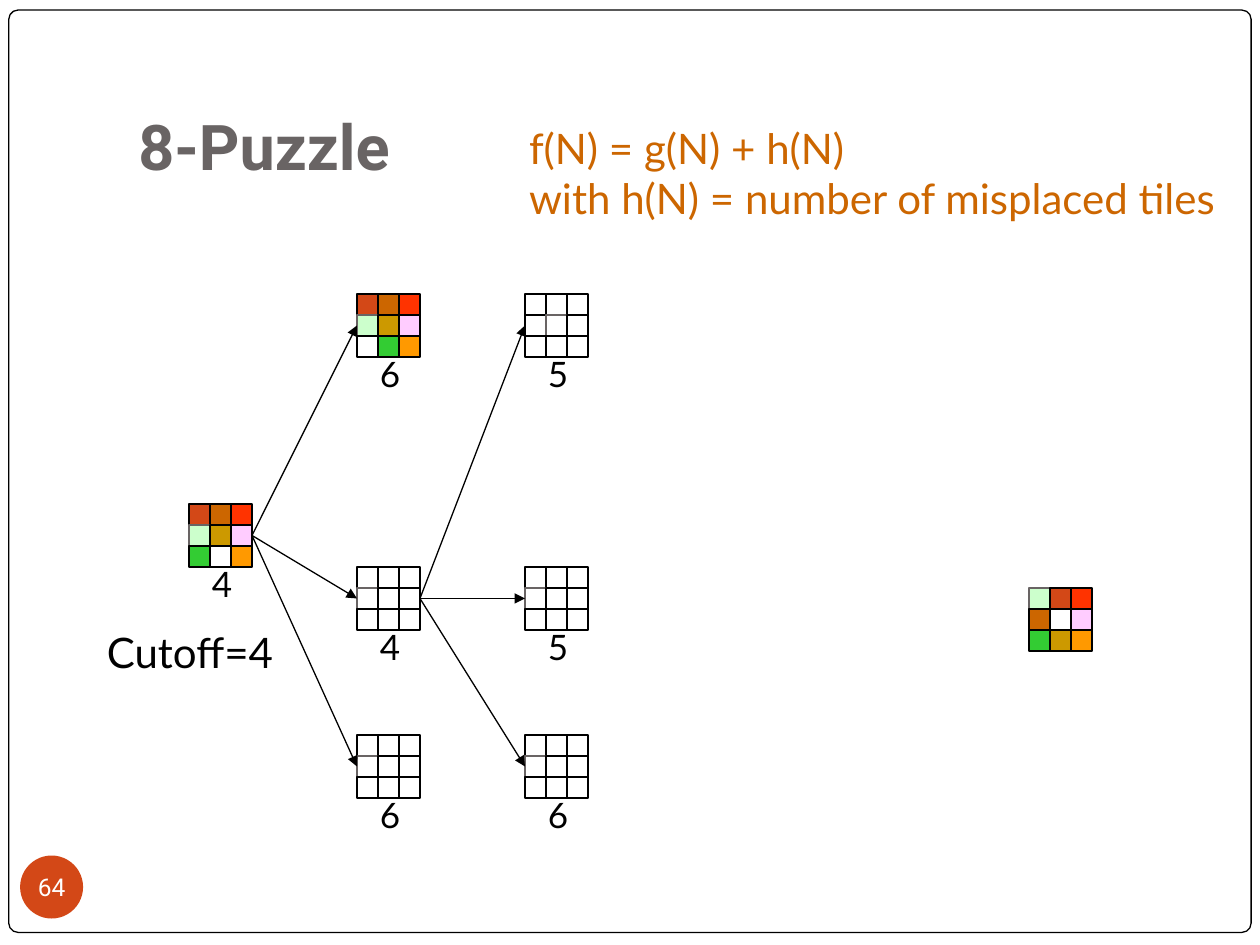
"""Build the 8-puzzle search slide with its boards, costs and arrows."""
from dataclasses import dataclass

from lxml.etree import SubElement
from pptx import Presentation
from pptx.dml.color import RGBColor as Rgb
from pptx.enum.shapes import MSO_CONNECTOR as Link, MSO_SHAPE as Kind
from pptx.enum.text import MSO_ANCHOR as Anchor, PP_ALIGN as Align
from pptx.oxml.ns import qn
from pptx.util import Inches, Pt


@dataclass(frozen=True)
class Theme:
    ink: str = "000000"
    grey: str = "696464"
    paper: str = "FFFFFF"
    accent: str = "D34817"
    note: str = "CC6600"
    head: str = "Roboto"
    body: str = "Lato"
    title: int = 36
    large: int = 24
    cost: int = 20
    page: int = 14
    line: float = 0.75


T = Theme()
TITLE = "8-Puzzle"
RULE = "f(N) = g(N) + h(N)\nwith h(N) = number of misplaced tiles"
CUTOFF = "Cutoff=4"
PAGE = "64"

TILES = {
    "1": "D34817", "2": "CC6600", "3": "FF3300", "4": "CCFFCC", "5": "CC9900",
    "6": "FFCCFF", "7": "33CC33", "8": "FF9900", ".": T.paper, "o": T.paper,
}
PALE = "4o"
BLANK = "...o....."

BOARDS = {
    "root": (9, 24, "1234567.8", "4"),
    "up": (17, 14, "123456.78", "6"),
    "mid": (17, 27, BLANK, "4"),
    "down": (17, 35, BLANK, "6"),
    "mid up": (25, 14, "....o....", "5"),
    "mid mid": (25, 27, BLANK, "5"),
    "mid down": (25, 35, BLANK, "6"),
    "goal": (49, 28, "4132.6758", ""),
}
MOVES = {"root": ("up", "mid", "down"), "mid": ("mid up", "mid mid", "mid down")}

WIDE, HIGH = 10, 7.5
CELL = 1 / 6


def color(code):
    return Rgb.from_string(code)


def write(shape, text, size, ink, font=T.body, bold=False, align=Align.LEFT):
    frame = shape.text_frame
    frame.word_wrap = True
    frame.text = text
    for para in frame.paragraphs:
        para.alignment = align
        for run in para.runs:
            face = run.font
            face.name, face.size, face.bold = font, Pt(size), bold
            face.color.rgb = color(ink)
    return frame


def text_box(shapes, box, *style, **more):
    shape = shapes.add_textbox(*map(Inches, box))
    return shape, write(shape, *style, **more)


def draw(shapes, kind, box, fill, line=None):
    shape = shapes.add_shape(kind, *map(Inches, box))
    shape.shadow.inherit = False
    shape.fill.solid()
    shape.fill.fore_color.rgb = color(fill)
    if line:
        shape.line.color.rgb = color(line)
        shape.line.width = Pt(T.line)
    else:
        shape.line.fill.background()
    return shape


def board(slide, col, row, state, cost):
    shapes = slide.shapes.add_group_shape().shapes
    if cost:
        spot = ((col + 0.5) * CELL, (row + 2.5) * CELL, 0.35, 0.43)
        label, _ = text_box(shapes, spot, cost, T.cost, T.ink)
        if "o" in state:
            label.fill.solid()
            label.fill.fore_color.rgb = color(T.paper)
    tiles = []
    for i, tile in enumerate(state):
        y, x = divmod(i, 3)
        spot = ((col + x) * CELL, (row + y) * CELL, CELL, CELL)
        edge = T.grey if tile in PALE else T.ink
        tiles.append(draw(shapes, Kind.RECTANGLE, spot, TILES[tile], edge))
    return tiles


def arrow(slide, start, end):
    line = slide.shapes.add_connector(Link.STRAIGHT, 0, 0, 0, 0)
    line.begin_connect(start[5], 3)
    line.end_connect(end[3], 1)
    line.line.color.rgb = color(T.ink)
    line.line.width = Pt(T.line)
    SubElement(line.line._get_or_add_ln(), qn("a:tailEnd"), type="triangle")
    SubElement(line._element.spPr, qn("a:effectLst"))


def main():
    deck = Presentation()
    deck.slide_width, deck.slide_height = Inches(WIDE), Inches(HIGH)
    slide = deck.slides.add_slide(deck.slide_layouts[6])
    shapes = slide.shapes

    frame = draw(shapes, Kind.ROUNDED_RECTANGLE, (0.07, 0.08, 9.86, 7.32), T.paper, T.ink)
    frame.adjustments[0] = 0.01
    _, head = text_box(shapes, (1, 0.3, 8.5, 1.25), TITLE, T.title, T.grey, T.head, bold=True)
    head.vertical_anchor = Anchor.BOTTOM
    head.margin_bottom = Inches(0.1)

    badge = draw(shapes, Kind.OVAL, (0.16, 6.79, 0.5, 0.5), T.accent)
    page = write(badge, PAGE, T.page, T.paper, T.head, align=Align.CENTER)
    page.vertical_anchor = Anchor.MIDDLE
    page.margin_left = page.margin_right = page.margin_top = page.margin_bottom = 0

    boards = {name: board(slide, *data) for name, data in BOARDS.items()}
    for start, ends in MOVES.items():
        for end in ends:
            arrow(slide, boards[start], boards[end])

    text_box(shapes, (0.75, 4.92, 1.52, 0.5), CUTOFF, T.large, T.ink)
    text_box(shapes, (4.1, 0.92, 5.82, 0.9), RULE, T.large, T.note)
    deck.save("out.pptx")


if __name__ == "__main__":
    main()
